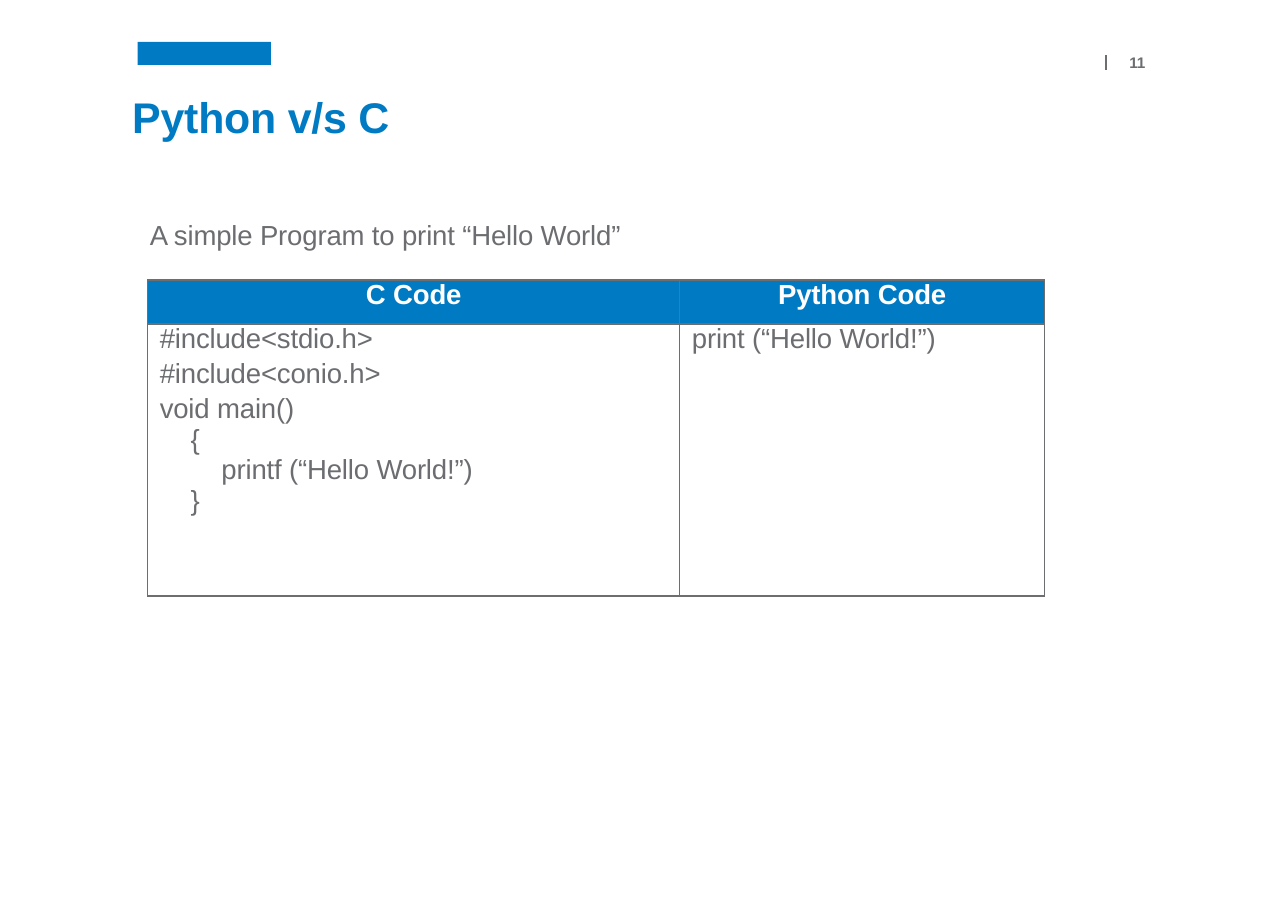
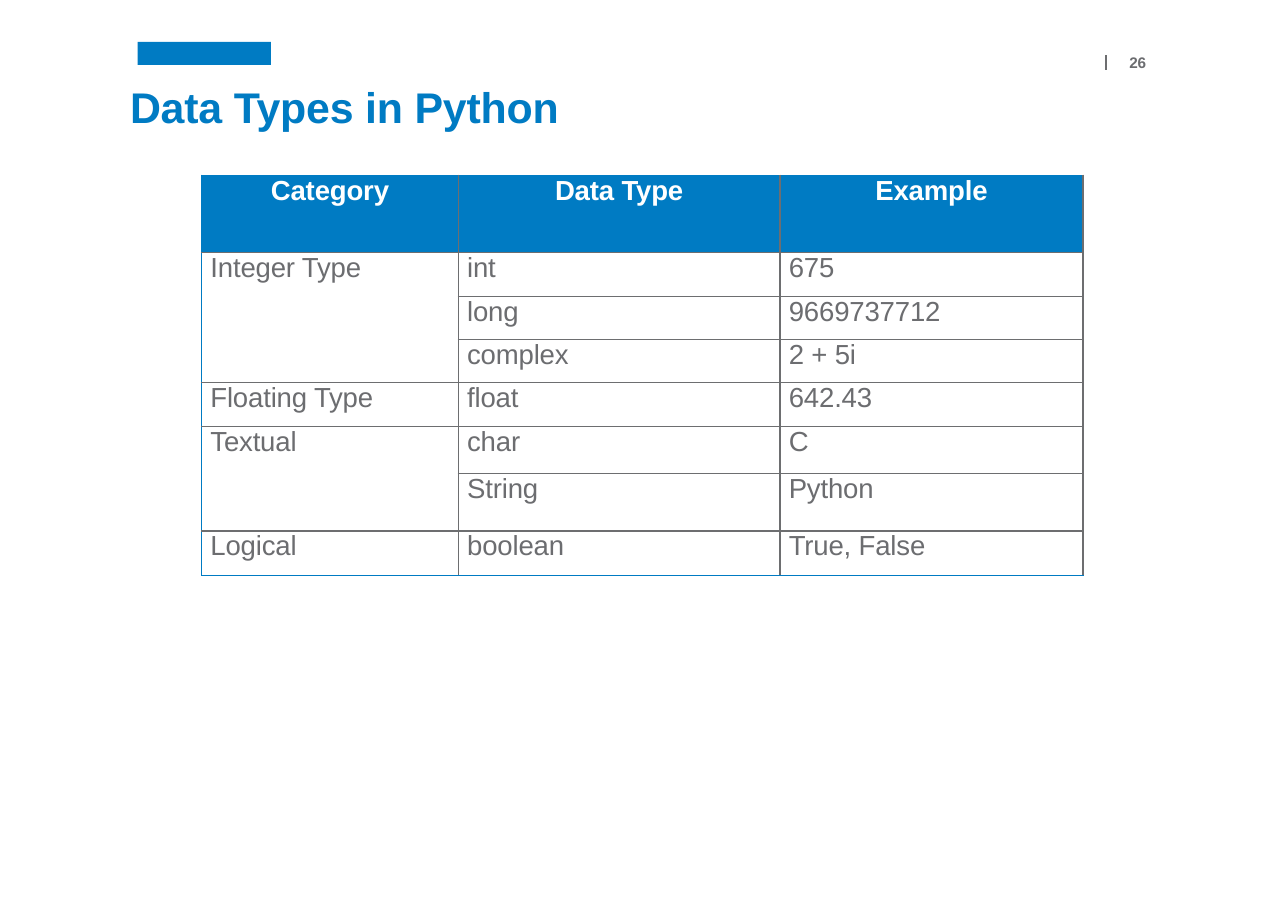
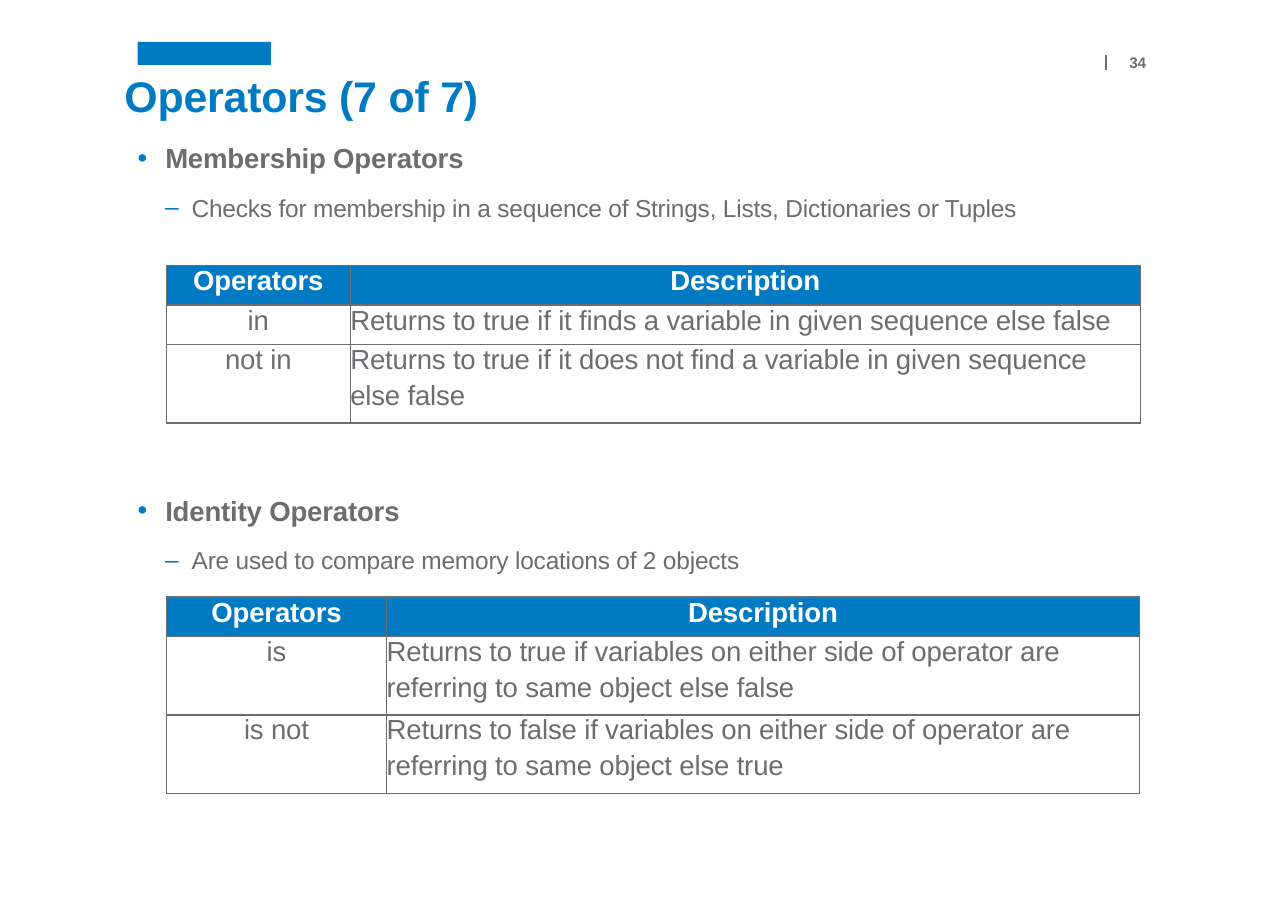
from dataclasses import dataclass
from typing import NamedTuple

from lxml import etree
from pptx import Presentation
from pptx.dml.color import RGBColor
from pptx.enum import shapes as kinds, text as txt
from pptx.oxml.ns import qn
from pptx.util import Inches, Pt


@dataclass(frozen=True)
class Theme:
    font: str = "Arial"
    blue: str = "007BC3"
    ink: str = "6C6D70"
    rule: str = "6D6E70"
    white: str = "FFFFFF"
    title: int = 28
    body: int = 18
    detail: int = 16
    number: int = 10
    tracking: float = -0.1


class Box(NamedTuple):
    x: float
    y: float
    w: float
    h: float

    def emu(self):
        return [Inches(v) for v in self]


class Line(NamedTuple):
    text: str
    before: float = 0
    indent: float = 0


THEME = Theme()
CENTER, LEFT = txt.PP_ALIGN.CENTER, txt.PP_ALIGN.LEFT
TITLE_ONLY, TWO_CONTENT = 5, 3


# Text helpers
def write(paragraph, content, size=THEME.body, color=THEME.ink, bold=False,
          align=LEFT, before=0, indent=0, hanging=0, bullet_color=None):
    paragraph.alignment = align
    paragraph.space_before = Pt(before)
    props = paragraph._p.get_or_add_pPr()
    props.set("marL", str(Inches(indent)))
    props.set("indent", str(Inches(-hanging)))
    if bullet_color:
        mark = etree.SubElement(props, qn("a:buClr"))
        etree.SubElement(mark, qn("a:srgbClr"), val=bullet_color)
    run = paragraph.add_run()
    run.text = content
    run.font.name, run.font.size, run.font.bold = THEME.font, Pt(size), bold
    run.font.color.rgb = RGBColor.from_string(color)
    run._r.get_or_add_rPr().set("spc", str(round(THEME.tracking * 100)))


def open_frame(shape, box, wrap=True):
    shape.left, shape.top, shape.width, shape.height = box.emu()
    frame = shape.text_frame
    frame.margin_left = frame.margin_right = 0
    frame.margin_top = frame.margin_bottom = 0
    frame.word_wrap = wrap
    frame.auto_size = txt.MSO_AUTO_SIZE.NONE
    frame.vertical_anchor = txt.MSO_ANCHOR.TOP
    return frame


def add_label(slide, box, content, **style):
    label = slide.shapes.add_textbox(*box.emu())
    write(open_frame(label, box, wrap=False).paragraphs[0], content, **style)


# Parts shared by every slide
def add_header(slide, box, number):
    band = slide.shapes.add_shape(kinds.MSO_SHAPE.RECTANGLE,
                                  *Box(box.x, box.y, 1.21, 0.21).emu())
    band.shadow.inherit = False
    band.fill.solid()
    band.fill.fore_color.rgb = RGBColor.from_string(THEME.blue)
    band.line.fill.background()

    rule_x = Inches(box.x + box.w - 0.38)
    divider = slide.shapes.add_connector(
        kinds.MSO_CONNECTOR.STRAIGHT, rule_x, Inches(box.y + 0.12),
        rule_x, Inches(box.y + 0.26))
    divider.line.color.rgb = RGBColor.from_string(THEME.rule)
    divider.line.width = Pt(1)
    etree.SubElement(divider.element.spPr, qn("a:effectLst"))

    add_label(slide, Box(box.x + box.w - 0.17, box.y + 0.1, 0.18, 0.18),
              str(number), size=THEME.number, bold=True)


def new_slide(prs, layout, title, title_box, number):
    slide = prs.slides.add_slide(prs.slide_layouts[layout])
    add_header(slide, Box(1.25, 0.38, 9.17, 0.28), number)
    heading = open_frame(slide.shapes.title, title_box)
    write(heading.paragraphs[0], title, size=THEME.title,
          color=THEME.blue, bold=True)
    return slide


# Tables
def set_border(cell, side, color, width):
    edge = etree.SubElement(cell._tc.get_or_add_tcPr(), qn(f"a:ln{side}"),
                            w=str(Pt(width)))
    fill = etree.SubElement(edge, qn("a:solidFill"))
    etree.SubElement(fill, qn("a:srgbClr"), val=color)


def fill_cell(cell, content, header, align, inset):
    cell.margin_top = cell.margin_bottom = cell.margin_right = 0
    cell.margin_left = 0 if header else Inches(inset)
    if header:
        cell.fill.solid()
        cell.fill.fore_color.rgb = RGBColor.from_string(THEME.blue)
    else:
        cell.fill.background()
    lines = [content] if isinstance(content, str) else content or []
    for i, line in enumerate(lines):
        line = Line(line) if isinstance(line, str) else line
        frame = cell.text_frame
        paragraph = frame.add_paragraph() if i else frame.paragraphs[0]
        write(paragraph, line.text, before=line.before, indent=line.indent,
              color=THEME.white if header else THEME.ink, bold=header,
              align=CENTER if header else align)


def add_grid(slide, x, y, widths, heights, rows, inset=0.0,
             center_first=False, blue_frame=False):
    """Rows hold strings or lists of lines; None continues the cell above."""
    box = Box(x, y, sum(widths), sum(heights))
    table = slide.shapes.add_table(len(rows), len(widths), *box.emu()).table
    table.first_row = table.horz_banding = False
    for column, width in zip(table.columns, widths):
        column.width = Inches(width)
    for row, height in zip(table.rows, heights):
        row.height = Inches(height)

    last = len(rows) - 1
    for r, row in enumerate(rows):
        for c, content in enumerate(row):
            cell = table.cell(r, c)
            # Borders come before the fill in the cell's properties
            outer = {"L": c == 0, "T": r == 0, "B": r == last}
            for side in "LRTB":
                framed = blue_frame and outer.get(side, False)
                set_border(cell, side, THEME.blue if framed else THEME.rule,
                           0.75 if framed else 1)
            fill_cell(cell, content, header=r == 0, inset=inset,
                      align=CENTER if center_first and c == 0 else LEFT)

    # Join each cell with the continuation cells below it
    for c in range(len(widths)):
        start = 0
        for r in range(1, len(rows) + 1):
            if r == len(rows) or rows[r][c] is not None:
                if r - start > 1:
                    table.cell(start, c).merge(table.cell(r - 1, c))
                start = r


# Slides
def add_comparison_slide(prs):
    slide = new_slide(prs, TITLE_ONLY, "Python v/s C",
                      Box(1.2, 0.82, 9.4, 0.48), 11)
    add_label(slide, Box(1.36, 1.98, 4.35, 0.31),
              "A simple Program to print “Hello World”")
    c_code = ["#include<stdio.h>", Line("#include<conio.h>", 2.5),
              Line("void main()", 2.5), Line("{", indent=0.28),
              Line("printf (“Hello World!”)", indent=0.56),
              Line("}", indent=0.28)]
    add_grid(slide, 1.34, 2.54, [4.83, 3.31], [0.4, 2.47],
             [["C Code", "Python Code"],
              [c_code, "print (“Hello World!”)"]], inset=0.11)


def add_data_types_slide(prs):
    slide = new_slide(prs, TITLE_ONLY, "Data Types in Python",
                      Box(1.18, 0.73, 9.4, 0.48), 26)
    add_grid(slide, 1.83, 1.59, [2.33, 2.92, 2.75],
             [0.7, 0.4, 0.39, 0.39, 0.4, 0.43, 0.52, 0.4],
             [["Category", "Data Type", "Example"],
              ["Integer Type", "int", "675"],
              [None, "long", "9669737712"],
              [None, "complex", "2 + 5i"],
              ["Floating Type", "float", "642.43"],
              ["Textual", "char", "C"],
              [None, "String", "Python"],
              ["Logical", "boolean", "True, False"]],
             inset=0.08, blue_frame=True)


def add_operator_group(slide, body, box, name, purpose,
                       table_gap, widths, heights, operators):
    frame = open_frame(body, box)
    write(frame.paragraphs[0], name, bold=True, indent=0.27, hanging=0.25,
          bullet_color=THEME.blue)
    detail = frame.add_paragraph()
    detail.level = 1
    write(detail, purpose, size=THEME.detail, before=12.1, indent=0.51,
          hanging=0.24, bullet_color=THEME.blue)
    add_grid(slide, box.x + 0.28, box.y + table_gap, widths, heights,
             [["Operators", "Description"], *operators], center_first=True)


def add_operators_slide(prs):
    slide = new_slide(prs, TWO_CONTENT, "Operators (7 of 7)",
                      Box(1.13, 0.63, 9.4, 0.48), 34)
    membership, identity = list(slide.placeholders)[1:]
    one_line, two_lines = 0.36, 0.71
    add_operator_group(
        slide, membership, Box(1.23, 1.28, 9.1, 0.75), "Membership Operators",
        "Checks for membership in a sequence of Strings, Lists, "
        "Dictionaries or Tuples",
        1.13, [1.67, 7.17], [one_line, one_line, two_lines],
        [["in", "Returns to true if it finds a variable in given sequence "
          "else false"],
         ["not in", ["Returns to true if it does not find a variable in "
                     "given sequence", Line("else false", 3.2)]]])
    add_operator_group(
        slide, identity, Box(1.23, 4.48, 9.1, 0.75), "Identity Operators",
        "Are used to compare memory locations of 2 objects",
        0.94, [2, 6.83], [one_line, two_lines, two_lines],
        [[operator, [f"Returns to {found} if variables on either side of "
                     "operator are",
                     Line(f"referring to same object else {other}", 3.2)]]
         for operator, found, other in (("is", "true", "false"),
                                        ("is not", "false", "true"))])


def main():
    prs = Presentation()
    prs.slide_width, prs.slide_height = Inches(11.69), Inches(8.26)
    add_comparison_slide(prs)
    add_data_types_slide(prs)
    add_operators_slide(prs)
    prs.save("out.pptx")


if __name__ == "__main__":
    main()
